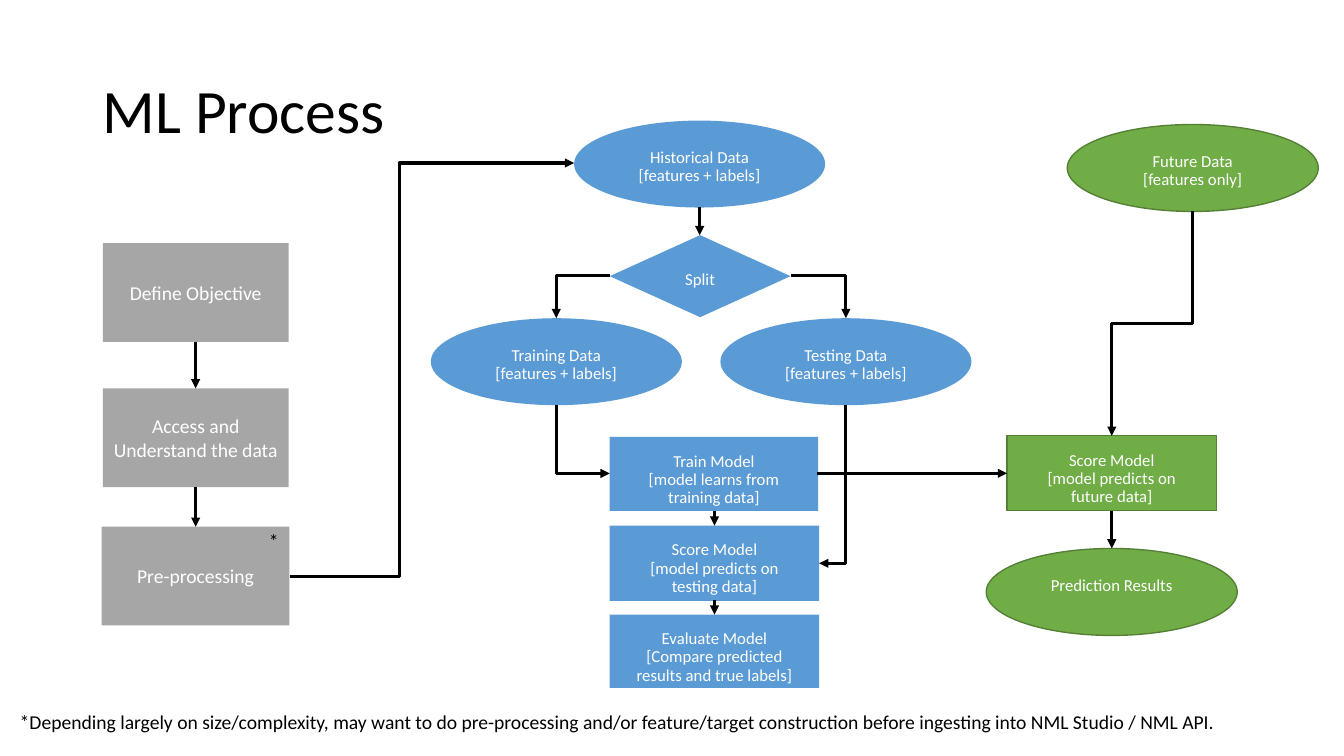
from lxml.etree import SubElement
from pptx import Presentation
from pptx.dml.color import RGBColor
from pptx.enum.shapes import MSO_CONNECTOR, MSO_SHAPE
from pptx.enum.text import MSO_ANCHOR, PP_ALIGN
from pptx.oxml.ns import qn
from pptx.util import Inches, Pt

COLORS = {
    "black": "000000",
    "white": "FFFFFF",
    "gray": "A6A6A6",
    "blue": "5B9BD5",
    "green": "70AD47",
    "dark green": "538035",
}


def write(shape, lines, size, color, spacing=0.9, align=PP_ALIGN.LEFT,
          anchor=MSO_ANCHOR.TOP, insets=(0.2, 0.16), wrap=True):
    frame = shape.text_frame
    frame.word_wrap = wrap
    frame.vertical_anchor = anchor
    frame.margin_left = frame.margin_right = Inches(insets[0])
    frame.margin_top = frame.margin_bottom = Inches(insets[1])
    frame.text = "\n".join(lines)
    for para in frame.paragraphs:
        para.alignment = align
        para.line_spacing = spacing
        para.font.name = "Calibri"
        para.font.size = Pt(size)
        para.font.color.rgb = RGBColor.from_string(COLORS[color])


def add_arrow(start, end, preset="line", vertical=False, bend=None):
    """Draw an arrow; a vertical one leaves its start downwards, by a quarter turn."""
    (x1, y1), (x2, y2) = start, end
    if vertical:
        middle_x, middle_y = (x1 + x2) / 2, (y1 + y2) / 2
        half_x, half_y = (x2 - x1) / 2, (y2 - y1) / 2
        x1, y1 = middle_x - half_y, middle_y + half_x
        x2, y2 = middle_x + half_y, middle_y - half_x
    kind = MSO_CONNECTOR.STRAIGHT if preset == "line" else MSO_CONNECTOR.ELBOW
    arrow = slide.shapes.add_connector(kind, Inches(x1), Inches(y1), Inches(x2), Inches(y2))
    arrow.line.color.rgb = RGBColor.from_string(COLORS["black"])
    arrow.line.width = Pt(2.25)
    SubElement(arrow.line._get_or_add_ln(), qn("a:tailEnd"), type="triangle")
    properties = arrow._element.spPr
    SubElement(properties, qn("a:effectLst"))
    if vertical:
        properties.find(qn("a:xfrm")).set("rot", "5400000")
    geometry = properties.find(qn("a:prstGeom"))
    geometry.set("prst", preset)
    if bend is not None:
        SubElement(geometry.find(qn("a:avLst")), qn("a:gd"),
                   name="adj1", fmla=f"val {round(bend * 100000)}")


deck = Presentation()
deck.slide_width, deck.slide_height = Inches(13.6), Inches(7.65)
slide = deck.slides.add_slide(deck.slide_layouts[6])

title = slide.shapes.add_textbox(Inches(0.94), Inches(0.41), Inches(11.73), Inches(1.48))
write(title, ["ML Process"], 44.9, "black", anchor=MSO_ANCHOR.MIDDLE, insets=(0.1, 0.05))

OVAL, BOX, DIAMOND = MSO_SHAPE.OVAL, MSO_SHAPE.RECTANGLE, MSO_SHAPE.DIAMOND
OVAL_SIZE = (2.54, 0.88)
LABELLED = "[features + labels]"
steps = [
    (BOX, "gray", 1.04, 2.46, (1.88, 1), ["Define Objective"]),
    (BOX, "gray", 1.04, 3.93, (1.88, 1), ["Access and Understand the data"]),
    (BOX, "gray", 1.03, 5.33, (1.9, 1), ["Pre-processing"]),
    (OVAL, "blue", 5.81, 1.22, OVAL_SIZE, ["Historical Data", LABELLED]),
    (OVAL, "blue", 4.36, 3.22, OVAL_SIZE, ["Training Data", LABELLED]),
    (OVAL, "blue", 7.29, 3.22, OVAL_SIZE, ["Testing Data", LABELLED]),
    (OVAL, "green", 10.8, 1.26, OVAL_SIZE, ["Future Data", "[features only]"]),
    (DIAMOND, "blue", 6.17, 2.38, (1.83, 0.83), ["Split"]),
    (BOX, "blue", 6.17, 4.42, (2.11, 0.75), ["Train Model", "[model learns from training data]"]),
    (BOX, "blue", 6.17, 5.32, (2.12, 0.76), ["Score Model", "[model predicts on testing data]"]),
    (BOX, "blue", 6.17, 6.22, (2.12, 0.74),
     ["Evaluate Model", "[Compare predicted results and true labels]"]),
    (BOX, "green", 10.19, 4.41, (2.12, 0.76), ["Score Model", "[model predicts on future data]"]),
    (OVAL, "green", 9.98, 5.55, OVAL_SIZE, ["Prediction Results"]),
]
for kind, color, left, top, (width, height), lines in steps:
    step = slide.shapes.add_shape(kind, Inches(left), Inches(top), Inches(width), Inches(height))
    step.shadow.inherit = False
    step.fill.solid()
    step.fill.fore_color.rgb = RGBColor.from_string(COLORS[color])
    if color == "green":
        step.line.color.rgb = RGBColor.from_string(COLORS["dark green"])
        step.line.width = Pt(1)
    else:
        step.line.fill.background()
    if color == "gray":
        write(step, lines, 14.3, "white", spacing=1.0, align=PP_ALIGN.CENTER,
              anchor=MSO_ANCHOR.MIDDLE, insets=(0.1, 0.05))
    else:
        write(step, lines, 12.2, "white", align=PP_ALIGN.CENTER)

asterisk = slide.shapes.add_textbox(Inches(2.52), Inches(5.27), Inches(0.5), Inches(0.55))
write(asterisk, ["*"], 14.3, "black", wrap=False)
footnote = slide.shapes.add_textbox(Inches(0), Inches(7.1), Inches(13.6), Inches(0.55))
write(footnote, ["*Depending largely on size/complexity, may want to do pre-processing and/or "
                 "feature/target construction before ingesting into NML Studio / NML API."],
      14.3, "black")

straight_arrows = [
    ((1.98, 3.46), (1.98, 3.93)),
    ((1.98, 4.93), (1.98, 5.33)),
    ((7.08, 2.09), (7.08, 2.38)),
    ((7.23, 5.17), (7.23, 5.32)),
    ((7.23, 6.07), (7.23, 6.22)),
    ((8.27, 4.79), (10.19, 4.79)),
    ((11.25, 5.17), (11.25, 5.55)),
]
for start, end in straight_arrows:
    add_arrow(start, end)

# start, end, leaves downwards
corner_arrows = [
    ((6.17, 2.79), (5.63, 3.22), False),
    ((8, 2.79), (8.56, 3.22), False),
    ((5.63, 4.1), (6.17, 4.79), True),
    ((8.56, 4.1), (8.29, 5.7), True),
]
for start, end, vertical in corner_arrows:
    add_arrow(start, end, "bentConnector2", vertical)

add_arrow((12.07, 2.14), (11.25, 4.41), "bentConnector3", vertical=True, bend=0.5)
add_arrow((2.93, 5.83), (5.81, 1.65), "bentConnector3", bend=0.386)

deck.save("out.pptx")
